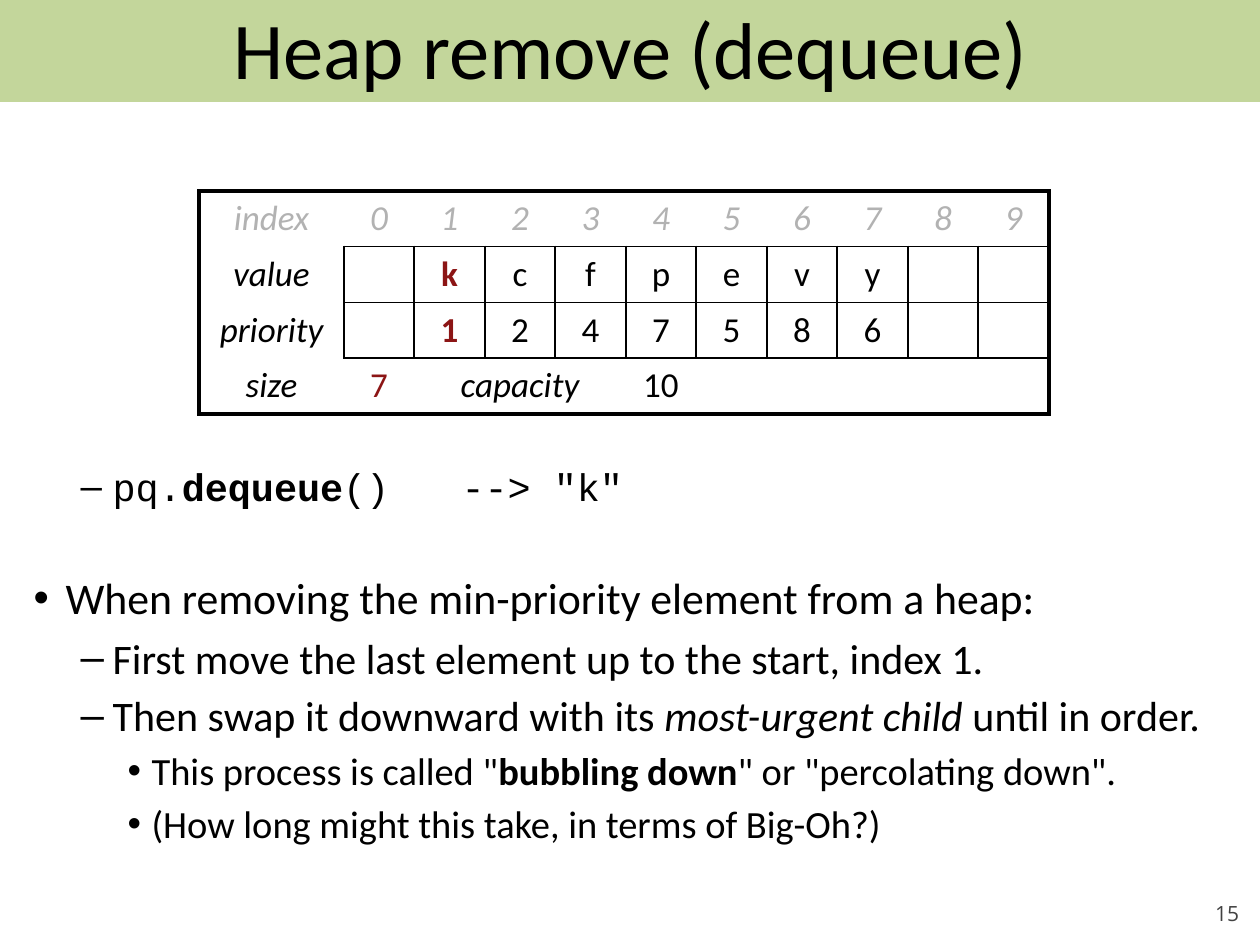
from lxml import etree
from pptx import Presentation
from pptx.dml.color import RGBColor
from pptx.enum.shapes import MSO_SHAPE
from pptx.enum.text import MSO_ANCHOR, MSO_AUTO_SIZE, PP_ALIGN
from pptx.oxml.ns import qn
from pptx.util import Inches, Pt

CENTER, RIGHT = PP_ALIGN.CENTER, PP_ALIGN.RIGHT
MIDDLE, BOTTOM, TOP = MSO_ANCHOR.MIDDLE, MSO_ANCHOR.BOTTOM, MSO_ANCHOR.TOP
NO_AUTOFIT = MSO_AUTO_SIZE.NONE
RECTANGLE = MSO_SHAPE.RECTANGLE
SCALE = Inches(1) / 126
COLORS = {"black": "000000", "red": "8C1515", "gray": "B2B2B2",
          "number": "424242", "band": "C3D69B"}
INDENTS = [(32, -32), (79, -32), (118, -24)]


def px(value):
    return round(value * SCALE)


def color(name):
    return RGBColor.from_string(COLORS[name])


class SlideBuilder:
    font = "Calibri"
    code_font = "Courier New"
    number_font = "Open Sans"

    def __init__(self, slide):
        self.slide = slide

    def place(self, shape, left, top, width, height):
        shape.left, shape.top = px(left), px(top)
        shape.width, shape.height = px(width), px(height)

    def format_run(self, run, size, name="black", font=None, bold=False, italic=False):
        run.font.size = Pt(size)
        run.font.name = font or self.font
        run.font.color.rgb = color(name)
        run.font.bold, run.font.italic = bold, italic

    def band(self, box):
        shape = self.slide.shapes.add_shape(RECTANGLE, *map(px, box))
        shape.shadow.inherit = False
        shape.fill.solid()
        shape.fill.fore_color.rgb = color("band")
        shape.line.fill.background()
        self.slide.shapes.title.element.addprevious(shape.element)

    def title(self, text, box, size):
        title = self.slide.shapes.title
        self.place(title, *box)
        frame = title.text_frame
        frame.text = text
        frame.auto_size = NO_AUTOFIT
        frame.vertical_anchor = MIDDLE
        frame.paragraphs[0].alignment = CENTER
        self.format_run(frame.paragraphs[0].runs[0], size)

    def number(self, text, box, size):
        frame = self.slide.shapes.add_textbox(*map(px, box)).text_frame
        frame.word_wrap = True
        frame.margin_left = frame.margin_right = 0
        frame.margin_top = frame.margin_bottom = 0
        frame.vertical_anchor = BOTTOM
        frame.text = text
        frame.paragraphs[0].alignment = RIGHT
        self.format_run(frame.paragraphs[0].runs[0], size, "number", self.number_font)

    def body(self, items, box):
        body = self.slide.placeholders[1]
        self.place(body, *box)
        frame = body.text_frame
        frame.auto_size = NO_AUTOFIT
        frame.vertical_anchor = TOP
        for index, (level, size, before, font, parts) in enumerate(items):
            paragraph = frame.add_paragraph() if index else frame.paragraphs[0]
            paragraph.level = level
            paragraph.space_before = Pt(before)
            properties = paragraph._p.get_or_add_pPr()
            margin, indent = INDENTS[level]
            properties.set("marL", str(px(margin)))
            properties.set("indent", str(px(indent)))
            if any("\t" in text for text, _ in parts):
                tabs = etree.SubElement(properties, qn("a:tabLst"))
                etree.SubElement(tabs, qn("a:tab"), pos=str(px(428)), algn="l")
            for text, style in parts:
                run = paragraph.add_run()
                run.text = text
                self.format_run(run, size, font=font, **style)

    def table(self, rows, box, label_width, size):
        left, top, width, height = box
        row_count, column_count = len(rows), len(rows[0])
        frame = self.slide.shapes.add_table(row_count, column_count, *map(px, box))
        table = frame.table
        table.first_row = table.horz_banding = False
        slots = column_count - 1
        grid = width - label_width
        table.columns[0].width = px(label_width)
        for i in range(slots):
            table.columns[i + 1].width = px(grid * (i + 1) // slots - grid * i // slots)
        for i in range(row_count):
            table.rows[i].height = px(height * (i + 1) // row_count - height * i // row_count)
        for r, row in enumerate(rows):
            for c, (text, style) in enumerate(row):
                cell = table.cell(r, c)
                cell.fill.background()
                cell.vertical_anchor = MIDDLE
                cell.margin_left = cell.margin_right = 0
                paragraph = cell.text_frame.paragraphs[0]
                paragraph.text = text
                paragraph.alignment = CENTER
                paragraph.font.size = Pt(size)
                for run in paragraph.runs:
                    self.format_run(run, size, **style)
                slot = r in (1, 2) and c > 0
                self.borders(cell, {
                    "L": 2.25 if c == 0 else slot,
                    "R": 2.25 if c == slots else slot or (r in (1, 2) and c == 0),
                    "T": 2.25 if r == 0 else slot or (r == 3 and c > 0),
                    "B": 2.25 if r == row_count - 1 else slot or (r == 0 and c > 0)})
        return table

    def borders(self, cell, widths):
        properties = cell._tc.get_or_add_tcPr()
        for index, (side, width) in enumerate(widths.items()):
            line = etree.Element(qn(f"a:ln{side}"), w=str(Pt(width)))
            if width:
                fill = etree.SubElement(line, qn("a:solidFill"))
                etree.SubElement(fill, qn("a:srgbClr"), val=COLORS["black"])
            else:
                etree.SubElement(line, qn("a:noFill"))
            properties.insert(index, line)


presentation = Presentation()
presentation.slide_width, presentation.slide_height = Inches(10), Inches(7.5)
builder = SlideBuilder(presentation.slides.add_slide(presentation.slide_layouts[1]))

plain, italic, bold = {}, {"italic": True}, {"bold": True}
gray = {"name": "gray", "italic": True}
first = {"name": "red", "bold": True}


def heap_row(label, entries):
    cells = [(label, italic), ("", plain), (entries[0], first)]
    cells += [(entry, plain) for entry in entries[1:]]
    return cells + [("", plain)] * (11 - len(cells))


heap_rows = [
    [(text, gray) for text in ["index", *map(str, range(10))]],
    heap_row("value", "kcfpevy"),
    heap_row("priority", "1247586"),
    [("size", italic), ("7", {"name": "red"}), ("capacity", italic), ("", plain),
     ("", plain), ("10", plain)] + [("", plain)] * 5,
]
code = SlideBuilder.code_font
notes = [
    (1, 22, 0, code, [("pq.", plain), ("dequeue", bold), ("()\t--> \"k\"", plain)]),
    (0, 25, 35, None, [("When removing the min-priority element from a heap:", plain)]),
    (1, 24, 5, None, [("First move the last element up to the start, index 1.", plain)]),
    (1, 24, 4, None, [("Then swap it downward with its ", plain),
                      ("most-urgent child", italic), (" until in order.", plain)]),
    (2, 22, 4, None, [("This process is called \"", plain), ("bubbling down", bold),
                      ("\" or \"percolating down\".", plain)]),
    (2, 22, 4, None, [("(How long might this take, in terms of Big-Oh?)", plain)]),
]

builder.band((0, 0, 1260, 102))
builder.title("Heap remove (dequeue)", (63, 0, 1134, 95), 46)
builder.body(notes, (21, 457, 1218, 436))
heap = builder.table(heap_rows, (199, 191, 850, 222), 145, 20)
heap.cell(3, 2).merge(heap.cell(3, 4))
builder.number("15", (1134, 876, 105, 50), 12)
presentation.save("out.pptx")
